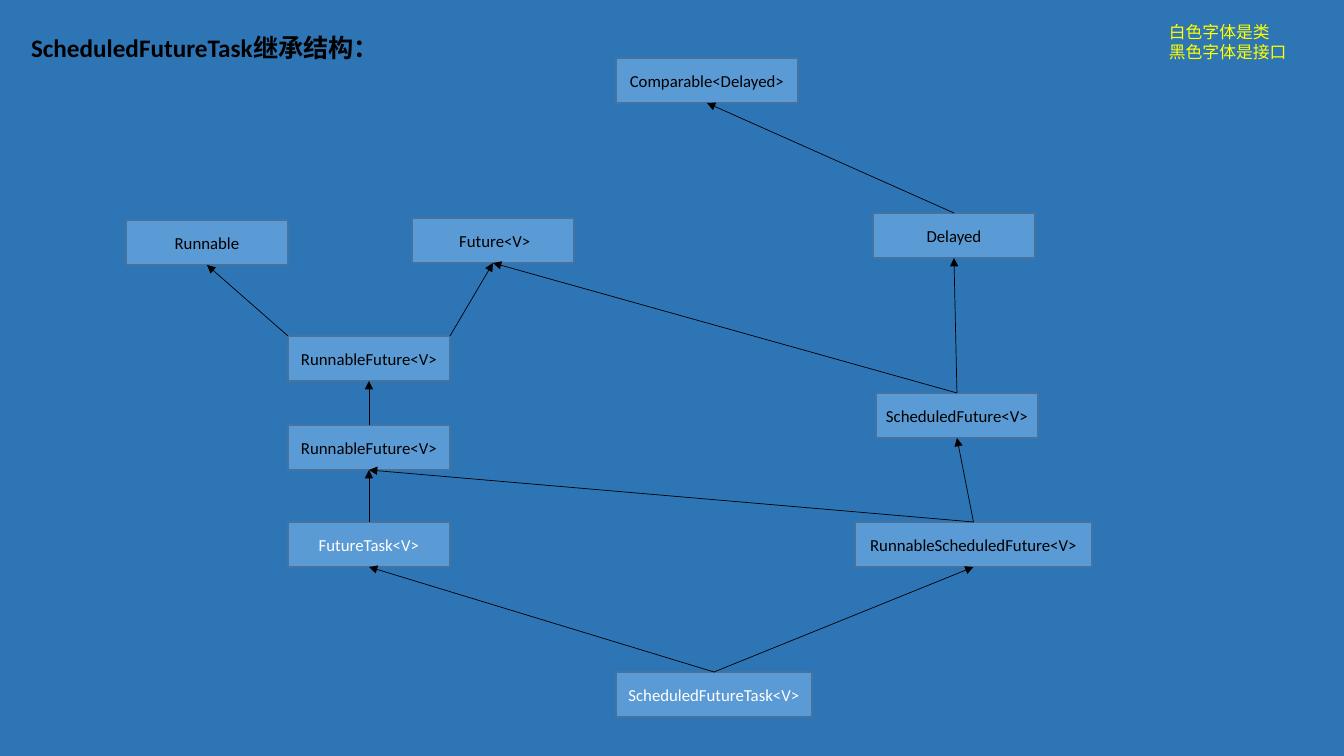
from lxml.etree import SubElement
from pptx import Presentation
from pptx.dml.color import RGBColor
from pptx.enum.shapes import MSO_CONNECTOR, MSO_SHAPE
from pptx.enum.text import MSO_ANCHOR, MSO_AUTO_SIZE, PP_ALIGN
from pptx.oxml.ns import qn
from pptx.util import Emu, Pt

TITLE = "ScheduledFutureTask继承结构："
LEGEND = ["白色字体是类", "黑色字体是接口"]
FONT = "Calibri"
BACKGROUND, BOX_FILL, BOX_LINE = "2E75B6", "5B9BD5", "43739E"
CLASS, INTERFACE, LEGEND_COLOR = "FFFFFF", "000000", "FFFF00"
BOX_H = 45

# key: (text, text colour, left, top, width)
TYPES = {
    "comparable": ("Comparable<Delayed>", INTERFACE, 616, 58, 182),
    "delayed": ("Delayed", INTERFACE, 873, 213, 162),
    "runnable": ("Runnable", INTERFACE, 126, 220, 162),
    "future": (" Future<V>", INTERFACE, 412, 218, 162),
    "upper runnable future": ("RunnableFuture<V>", INTERFACE, 288, 336, 162),
    "lower runnable future": ("RunnableFuture<V>", INTERFACE, 288, 425, 162),
    "scheduled future": ("ScheduledFuture<V>", INTERFACE, 876, 393, 162),
    "future task": ("FutureTask<V>", CLASS, 288, 522, 162),
    "runnable scheduled": ("RunnableScheduledFuture<V>", INTERFACE, 855, 522, 237),
    "scheduled task": ("ScheduledFutureTask<V>", CLASS, 616, 672, 196),
}

# (subtype, supertype, where the arrow leaves the subtype's top edge)
INHERITS = [
    ("scheduled task", "future task", "middle"),
    ("scheduled task", "runnable scheduled", "middle"),
    ("future task", "lower runnable future", "middle"),
    ("lower runnable future", "upper runnable future", "middle"),
    ("upper runnable future", "runnable", "left"),
    ("upper runnable future", "future", "right"),
    ("runnable scheduled", "lower runnable future", "middle"),
    ("runnable scheduled", "scheduled future", "middle"),
    ("scheduled future", "future", "middle"),
    ("scheduled future", "delayed", "middle"),
    ("delayed", "comparable", "middle"),
]


def px(n):
    return Emu(round(n * 914400 / 100.8))


def rgb(color):
    return RGBColor.from_string(color)


def add_run(p, text, size, color, bold=False):
    r = p.add_run()
    r.text = text
    r.font.name = FONT
    r.font.size = Pt(size)
    r.font.bold = bold
    r.font.color.rgb = rgb(color)


def add_type(slide, text, color, left, top, width):
    sp = slide.shapes.add_shape(MSO_SHAPE.RECTANGLE, px(left), px(top), px(width), px(BOX_H))
    sp.shadow.inherit = False
    sp.fill.solid()
    sp.fill.fore_color.rgb = rgb(BOX_FILL)
    sp.line.color.rgb = rgb(BOX_LINE)
    sp.line.width = Pt(1)
    tf = sp.text_frame
    tf.word_wrap = False
    tf.vertical_anchor = MSO_ANCHOR.MIDDLE
    p = tf.paragraphs[0]
    p.alignment = PP_ALIGN.CENTER
    add_run(p, text, 12, color)
    return sp


def add_arrow(slide, sub, sup, leave):
    """Draw an arrow from the top of sub to the bottom middle of sup."""
    x = sub.left + (sub.width if leave == "right" else 0)
    cxn = slide.shapes.add_connector(MSO_CONNECTOR.STRAIGHT, x, sub.top, x, sub.top)
    if leave == "middle":
        cxn.begin_connect(sub, 0)
    cxn.end_connect(sup, 2)
    cxn.line.color.rgb = rgb("000000")
    cxn.line.width = Pt(0.5)
    SubElement(cxn.line._get_or_add_ln(), qn("a:tailEnd"), type="triangle")
    SubElement(cxn._element.spPr, qn("a:effectLst"))


def main():
    prs = Presentation()
    prs.slide_width, prs.slide_height = px(1344), px(756)
    slide = prs.slides.add_slide(prs.slide_layouts[5])
    slide.background.fill.solid()
    slide.background.fill.fore_color.rgb = rgb(BACKGROUND)

    title = slide.shapes.title
    title.left, title.top, title.width, title.height = px(21), px(27), px(372), px(40)
    tf = title.text_frame
    tf.word_wrap = False
    tf.auto_size = MSO_AUTO_SIZE.NONE
    tf.vertical_anchor = MSO_ANCHOR.TOP
    p = tf.paragraphs[0]
    p.alignment = PP_ALIGN.LEFT
    add_run(p, TITLE, 18, "000000", bold=True)

    legend = slide.shapes.add_textbox(px(1159), px(17), px(139), px(50))
    tf = legend.text_frame
    tf.word_wrap = False
    for i, line in enumerate(LEGEND):
        p = tf.add_paragraph() if i else tf.paragraphs[0]
        add_run(p, line, 12, LEGEND_COLOR)

    boxes = {key: add_type(slide, *row) for key, row in TYPES.items()}
    for sub, sup, leave in INHERITS:
        add_arrow(slide, boxes[sub], boxes[sup], leave)

    prs.save("out.pptx")


if __name__ == "__main__":
    main()
